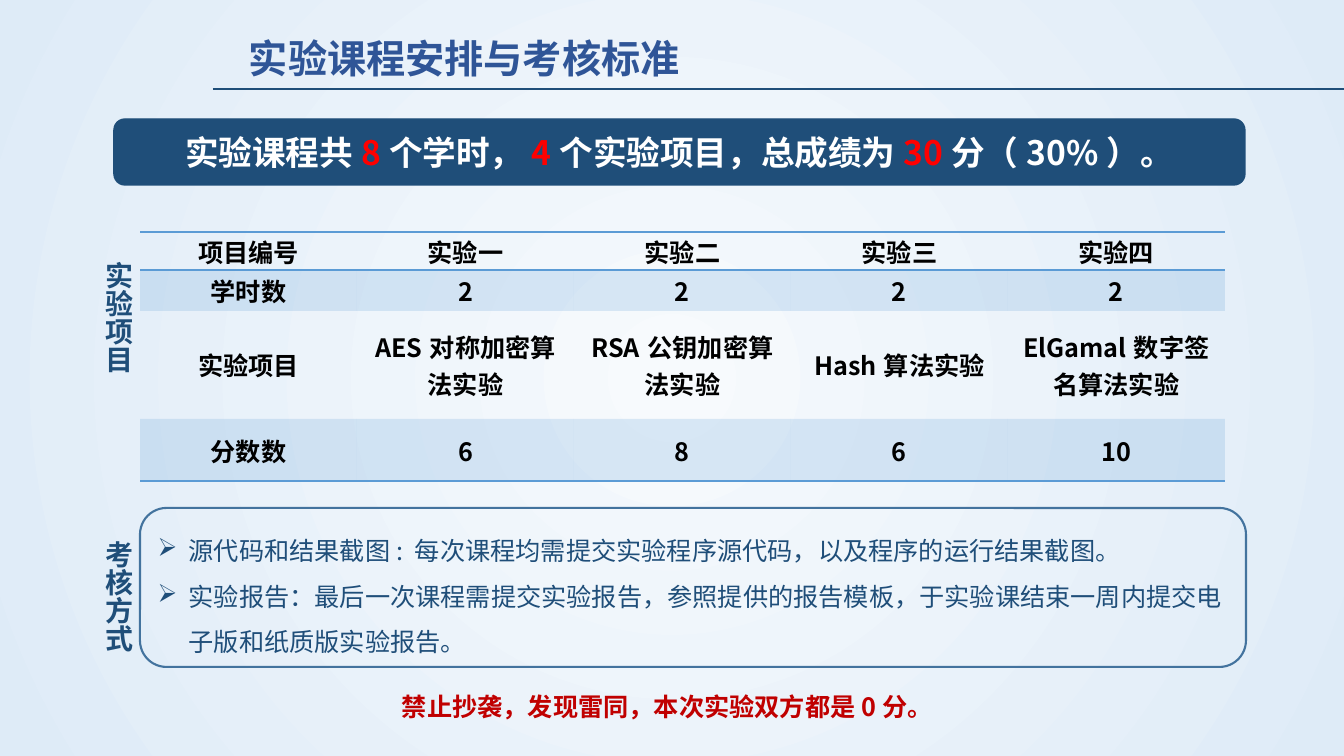
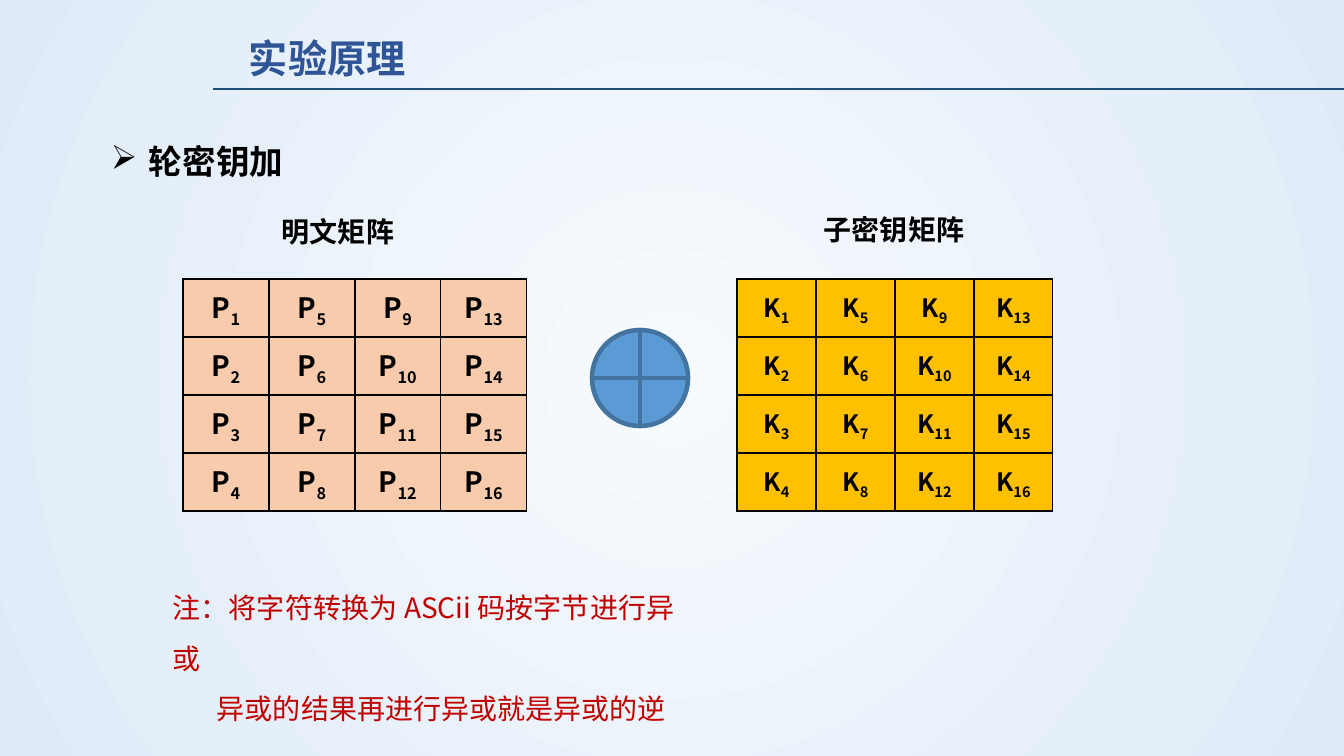
from lxml.etree import SubElement
from pptx import Presentation
from pptx.dml.color import RGBColor
from pptx.enum.shapes import MSO_CONNECTOR, MSO_SHAPE
from pptx.enum.text import MSO_ANCHOR, MSO_AUTO_SIZE, PP_ALIGN
from pptx.oxml import parse_xml
from pptx.oxml.ns import nsdecls, qn
from pptx.util import Pt

PX = 9071  # EMU per px
FONT = "Noto Sans CJK SC"
PALE = RGBColor(0xF7, 0xFA, 0xFD)
SKY = RGBColor(0xDE, 0xEB, 0xF7)
NAVY = RGBColor(0x1F, 0x4E, 0x79)
TITLE_BLUE = RGBColor(0x2F, 0x55, 0x97)
BLUE = RGBColor(0x5B, 0x9B, 0xD5)
OUTLINE = RGBColor(0x43, 0x73, 0x9E)
RED = RGBColor(0xFF, 0x00, 0x00)
DARK_RED = RGBColor(0xC0, 0x00, 0x00)
BLACK = RGBColor(0x00, 0x00, 0x00)
WHITE = RGBColor(0xFF, 0xFF, 0xFF)
PEACH = RGBColor(0xF8, 0xCB, 0xAD)
AMBER = RGBColor(0xFF, 0xC0, 0x00)
NO_STYLE = "{2D5ABB26-0587-4C30-8999-92F81FD0307C}"
LABEL = {"word_wrap": True, "auto_size": MSO_AUTO_SIZE.SHAPE_TO_FIT_TEXT}
CENTRED = {"vertical_anchor": MSO_ANCHOR.MIDDLE}


def write(frame, lines, size, colour, frame_format, bold=True,
          align=PP_ALIGN.LEFT, spacing=None, hang=0):
    """Each line is a list of (text, run colour or None, baseline) runs."""
    for name, value in frame_format.items():
        setattr(frame, name, value)
    for index, line in enumerate(lines):
        paragraph = frame.add_paragraph() if index else frame.paragraphs[0]
        paragraph.alignment = align
        if spacing:
            paragraph.line_spacing = spacing
        if hang:
            properties = paragraph._p.get_or_add_pPr()
            properties.set("marL", str(hang * PX))
            properties.set("indent", str(-hang * PX))
            SubElement(properties, qn("a:buChar")).set("char", "➢")
        for text, run_colour, baseline in line:
            run = paragraph.add_run()
            run.text = text
            for name, value in {"size": Pt(size), "bold": bold, "name": FONT}.items():
                setattr(run.font, name, value)
            run.font.color.rgb = run_colour or colour
            run_properties = run._r.get_or_add_rPr()
            SubElement(run_properties, qn("a:ea")).set("typeface", FONT)
            if baseline:
                run_properties.set("baseline", str(baseline))


def add_grid(slide, left, top, widths, heights, rows, size, fills, borders, margin):
    """Fills are (colour, opacity) or None per row, borders are sides per row."""
    grid = slide.shapes.add_table(
        len(heights), len(widths), left * PX, top * PX,
        sum(widths) * PX, sum(heights) * PX).table
    grid.first_row = grid.horz_banding = False
    grid._tbl.tblPr.find(qn("a:tableStyleId")).text = NO_STYLE
    for column, width in zip(grid.columns, widths):
        column.width = width * PX
    for row, height, contents, fill, (sides, colour) in zip(
            grid.rows, heights, rows, fills, borders):
        row.height = height * PX
        for cell, runs in zip(row.cells, contents):
            for name, value in margin.items():
                setattr(cell, name, value)
            cell.vertical_anchor = MSO_ANCHOR.MIDDLE
            write(cell.text_frame, [runs], size, BLACK, {}, align=PP_ALIGN.CENTER)
            properties = cell._tc.get_or_add_tcPr()
            if fill:
                cell.fill.solid()
                cell.fill.fore_color.rgb = fill[0]
                tint = properties.find(".//" + qn("a:srgbClr"))
                SubElement(tint, qn("a:alpha")).set("val", str(fill[1] * 1000))
            else:
                cell.fill.background()
            for place, side in enumerate(sides):
                properties.insert(place, parse_xml(
                    f'<a:ln{side} {nsdecls("a")} w="12700"><a:solidFill>'
                    f'<a:srgbClr val="{colour}"/></a:solidFill></a:ln{side}>'))


prs = Presentation()
prs.slide_width, prs.slide_height = 1344 * PX, 756 * PX

# Shared background, rule and title
slides = []
for title in ("实验课程安排与考核标准", "实验原理"):
    slide = prs.slides.add_slide(prs.slide_layouts[6])
    slides.append(slide)
    glow = slide.background.fill
    glow.gradient()
    for stop, colour in zip(glow.gradient_stops, (PALE, SKY)):
        stop.color.rgb = colour
    gradient = slide.element.find(".//" + qn("a:gradFill"))
    gradient.replace(gradient.find(qn("a:lin")), parse_xml(
        f'<a:path {nsdecls("a")} path="circle">'
        '<a:fillToRect l="50000" t="50000" r="50000" b="50000"/></a:path>'))
    rule = slide.shapes.add_connector(
        MSO_CONNECTOR.STRAIGHT, 213 * PX, 89 * PX, 1344 * PX, 89 * PX)
    rule.line.color.rgb = NAVY
    rule.line.width = Pt(1.25)
    SubElement(rule._element.spPr, qn("a:effectLst"))
    heading = slide.shapes.add_textbox(239 * PX, 29 * PX, 473 * PX, 57 * PX)
    write(heading.text_frame, [[(title, None, 0)]], 28, TITLE_BLUE, LABEL)

plan, principle = slides

# Filled and outlined shapes
shapes = []
for slide, kind, (left, top, width, height), fill, line, weight in (
        (plan, MSO_SHAPE.ROUNDED_RECTANGLE, (114, 119, 1131, 66), NAVY, NAVY, 1),
        (plan, MSO_SHAPE.ROUNDED_RECTANGLE, (140, 508, 1106, 159), None, OUTLINE, 1.5),
        (principle, MSO_SHAPE.FLOWCHART_OR, (592, 330, 96, 96), BLUE, OUTLINE, 3.25)):
    shape = slide.shapes.add_shape(kind, left * PX, top * PX, width * PX, height * PX)
    shape.shadow.inherit = False
    if fill:
        shape.fill.solid()
        shape.fill.fore_color.rgb = fill
    else:
        shape.fill.background()
    shape.line.color.rgb = line
    shape.line.width = Pt(weight)
    shapes.append(shape)
summary, requirements, xor_symbol = shapes

# Course summary with highlighted numbers
summary_parts = ("实验课程共", "8", "个学时，", "4", "个实验项目，总成绩为", "30", "分（30%）。")
write(summary.text_frame,
      [[(part, RED if part.isdigit() else WHITE, 0) for part in summary_parts]],
      24, WHITE, CENTRED, align=PP_ALIGN.CENTER)

# Assessment requirements
write(requirements.text_frame, [
    [("源代码和结果截图: 每次课程均需提交实验程序源代码，以及程序的运行结果截图。", None, 0)],
    [("实验报告：最后一次课程需提交实验报告，参照提供的报告模板，"
      "于实验课结束一周内提交电子版和纸质版实验报告。", None, 0)],
], 18, NAVY, {"vertical_anchor": MSO_ANCHOR.TOP}, bold=False, spacing=1.5, hang=31)

# Experiment schedule
schedule = (
    ("项目编号", "实验一", "实验二", "实验三", "实验四"),
    ("学时数", "2", "2", "2", "2"),
    ("实验项目", "AES对称加密算法实验", "RSA公钥加密算法实验", "Hash算法实验", "ElGamal数字签名算法实验"),
    ("分数数", "6", "8", "6", "10"),
)
band = (BLUE, 20)
add_grid(plan, 140, 232, [217] * 5, [38, 41, 108, 62],
         [[[(text, None, 0)] for text in row] for row in schedule], 18,
         (None, band, None, band),
         (("TB", BLUE), ("", BLUE), ("", BLUE), ("B", BLUE)),
         {"margin_left": 7 * PX, "margin_right": 7 * PX, "margin_top": 0, "margin_bottom": 0})

# Vertical section names
for top, name in ((252, "实验项目"), (531, "考核方式")):
    section = plan.shapes.add_textbox(86 * PX, top * PX, 54 * PX, 123 * PX)
    section.text_frame._txBody.bodyPr.set("vert", "eaVert")
    write(section.text_frame, [[(name, None, 0)]], 20, NAVY,
          {**LABEL, "word_wrap": False})

# Warning, topic and matrix names
for slide, (left, top, width, height), text, size, colour, extra in (
        (plan, (392, 686, 546, 40), "禁止抄袭，发现雷同，本次实验双方都是0分。", 18, DARK_RED, {}),
        (principle, (101, 116, 195, 65), "轮密钥加", 24, BLACK, {"spacing": 1.5, "hang": 38}),
        (principle, (272, 210, 142, 44), "明文矩阵", 20, BLACK, {}),
        (principle, (814, 208, 162, 44), "子密钥矩阵", 20, BLACK, {})):
    label = slide.shapes.add_textbox(left * PX, top * PX, width * PX, height * PX)
    write(label.text_frame, [[(text, None, 0)]], size, colour, LABEL, **extra)

# Plaintext and subkey matrices, numbered down the columns
for letter, left, cell_width, size, colour in (
        ("P", 183, 86, 20, PEACH), ("K", 737, 79, 18, AMBER)):
    matrix = [[[(letter, None, 0), (str(4 * column + row + 1), None, -25000)]
               for column in range(4)] for row in range(4)]
    add_grid(principle, left, 279, [cell_width] * 4, [58] * 4, matrix, size,
             [(colour, 100)] * 4, [("LRTB", BLACK)] * 4, {})

# Note on the XOR step
note = principle.shapes.add_textbox(163 * PX, 569 * PX, 543 * PX, 106 * PX)
write(note.text_frame, [
    [("注：将字符转换为ASCii码按字节进行异或", None, 0)],
    [("异或的结果再进行异或就是异或的逆", None, 0)],
], 20, DARK_RED, LABEL, bold=False, spacing=1.5)
note.text_frame.paragraphs[1]._p.get_or_add_pPr().set("indent", str(44 * PX))

prs.save("out.pptx")
